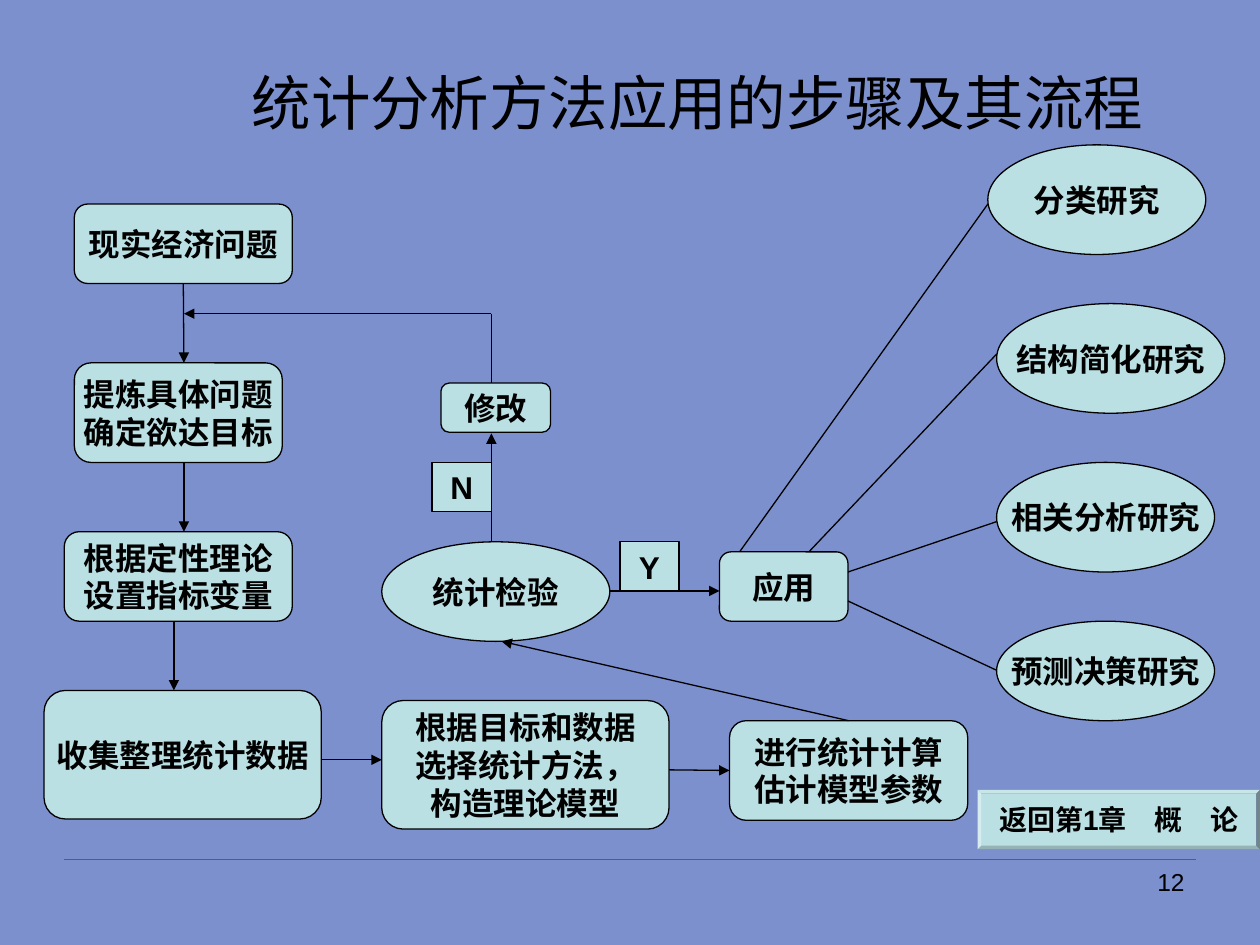
"""Flowchart slide: steps for applying statistical analysis methods."""
from lxml.etree import SubElement
from pptx import Presentation
from pptx.dml.color import RGBColor
from pptx.enum.shapes import MSO_CONNECTOR, MSO_SHAPE
from pptx.enum.text import MSO_ANCHOR, PP_ALIGN
from pptx.oxml.ns import qn
from pptx.util import Inches, Pt

BACK = RGBColor(0x7C, 0x90, 0xCE)
PALE = RGBColor(0xBB, 0xE0, 0xE3)
BLACK = RGBColor(0, 0, 0)
RULE = RGBColor(0x33, 0x66, 0x99)
ROUND, OVAL, RECT = MSO_SHAPE.ROUNDED_RECTANGLE, MSO_SHAPE.OVAL, MSO_SHAPE.RECTANGLE
TOP, LEFT, BOTTOM = 0, 1, 2

prs = Presentation()
prs.slide_width, prs.slide_height = Inches(10), Inches(7.5)
s = prs.slides.add_slide(prs.slide_layouts[6])
s.background.fill.solid()
s.background.fill.fore_color.rgb = BACK


def write(sp, lines, size, bold=False, align=PP_ALIGN.CENTER, anchor=MSO_ANCHOR.MIDDLE, wrap=False):
    tf = sp.text_frame
    tf.word_wrap = wrap
    tf.vertical_anchor = anchor
    for i, line in enumerate(lines):
        p = tf.add_paragraph() if i else tf.paragraphs[0]
        p.alignment = align
        r = p.add_run()
        r.text = line
        r.font.name, r.font.size, r.font.bold = "Arial", Pt(size), bold
        r.font.color.rgb = BLACK


def connect(x1, y1, x2, y2, arrow=False, color=BLACK):
    c = s.shapes.add_connector(MSO_CONNECTOR.STRAIGHT, Inches(x1), Inches(y1), Inches(x2), Inches(y2))
    c.line.color.rgb = color
    c.line.width = Pt(0.75)
    if arrow:
        SubElement(c.line._get_or_add_ln(), qn("a:tailEnd"), type="triangle")
    SubElement(c._element.spPr, qn("a:effectLst"))
    return c


connect(0.51, 6.82, 9.49, 6.82, color=RULE)

tb = s.shapes.add_textbox(Inches(7.17), Inches(6.83), Inches(2.33), Inches(0.52))
write(tb, ["12"], 14, align=PP_ALIGN.RIGHT, anchor=MSO_ANCHOR.TOP, wrap=True)
tb = s.shapes.add_textbox(Inches(1.63), Inches(0.38), Inches(7.81), Inches(0.85))
write(tb, ["统计分析方法应用的步骤及其流程"], 34, wrap=True)

nodes = [
    ("problem", ROUND, 0.59, 1.62, 1.73, 0.63, ["现实经济问题"]),
    ("goal", ROUND, 0.59, 2.88, 1.65, 0.79, ["提炼具体问题", "确定欲达目标"]),
    ("variables", ROUND, 0.51, 4.22, 1.81, 0.71, ["根据定性理论", "设置指标变量"]),
    ("data", ROUND, 0.35, 5.48, 2.2, 1.02, ["收集整理统计数据"]),
    ("model", ROUND, 3.03, 5.56, 2.28, 1.02, ["根据目标和数据", "选择统计方法，", "构造理论模型"]),
    ("estimate", ROUND, 5.79, 5.72, 1.89, 0.79, ["进行统计计算", "估计模型参数"]),
    ("test", OVAL, 3.03, 4.3, 1.81, 0.79, ["统计检验"]),
    ("no", RECT, 3.43, 3.67, 0.47, 0.39, ["N"]),
    ("revise", ROUND, 3.5, 3.04, 0.87, 0.39, ["修改"]),
    ("yes", RECT, 4.92, 4.3, 0.47, 0.39, ["Y"]),
    ("apply", ROUND, 5.71, 4.38, 1.02, 0.55, ["应用"]),
    ("classify", OVAL, 7.84, 1.15, 1.73, 0.87, ["分类研究"]),
    ("simplify", OVAL, 7.91, 2.41, 1.81, 0.87, ["结构简化研究"]),
    ("correlate", OVAL, 7.91, 3.67, 1.73, 0.87, ["相关分析研究"]),
    ("predict", OVAL, 7.91, 4.93, 1.73, 0.79, ["预测决策研究"]),
]
shapes = {}
for name, kind, x, y, w, h, lines in nodes:
    sp = s.shapes.add_shape(kind, Inches(x), Inches(y), Inches(w), Inches(h))
    sp.shadow.inherit = False
    sp.fill.solid()
    sp.fill.fore_color.rgb = PALE
    sp.line.color.rgb = BLACK
    sp.line.width = Pt(0.75)
    write(sp, lines, 18, bold=True)
    shapes[name] = sp

arrows = [
    (1.46, 2.25, 1.46, 2.88, ("problem", BOTTOM), None),
    (1.46, 3.67, 1.46, 4.22, None, None),
    (1.38, 4.93, 1.38, 5.48, None, None),
    (2.55, 6.03, 3.03, 6.03, None, None),
    (5.31, 6.11, 5.79, 6.11, None, ("estimate", LEFT)),
    (6.73, 5.72, 3.98, 5.09, ("estimate", TOP), None),
    (3.9, 4.3, 3.9, 3.44, None, None),
    (3.9, 2.49, 1.46, 2.49, None, None),
    (4.84, 4.69, 5.71, 4.69, None, None),
]
for x1, y1, x2, y2, begin, end in arrows:
    c = connect(x1, y1, x2, y2, arrow=True)
    if begin:
        c.begin_connect(shapes[begin[0]], begin[1])
    if end:
        c.end_connect(shapes[end[0]], end[1])

for ends in [
    (3.9, 3.04, 3.9, 2.49),
    (5.87, 4.38, 7.84, 1.62),
    (6.42, 4.38, 7.91, 2.81),
    (6.73, 4.54, 7.91, 4.14),
    (6.73, 4.77, 7.91, 5.32),
]:
    connect(*ends)

sp = s.shapes.add_shape(MSO_SHAPE.BEVEL, Inches(7.76), Inches(6.27), Inches(2.24), Inches(0.47))
sp.adjustments[0] = 0.06
sp.shadow.inherit = False
sp.fill.solid()
sp.fill.fore_color.rgb = PALE
sp.line.fill.background()
write(sp, ["返回第1章　概　论"], 16, bold=True)

prs.save("out.pptx")
